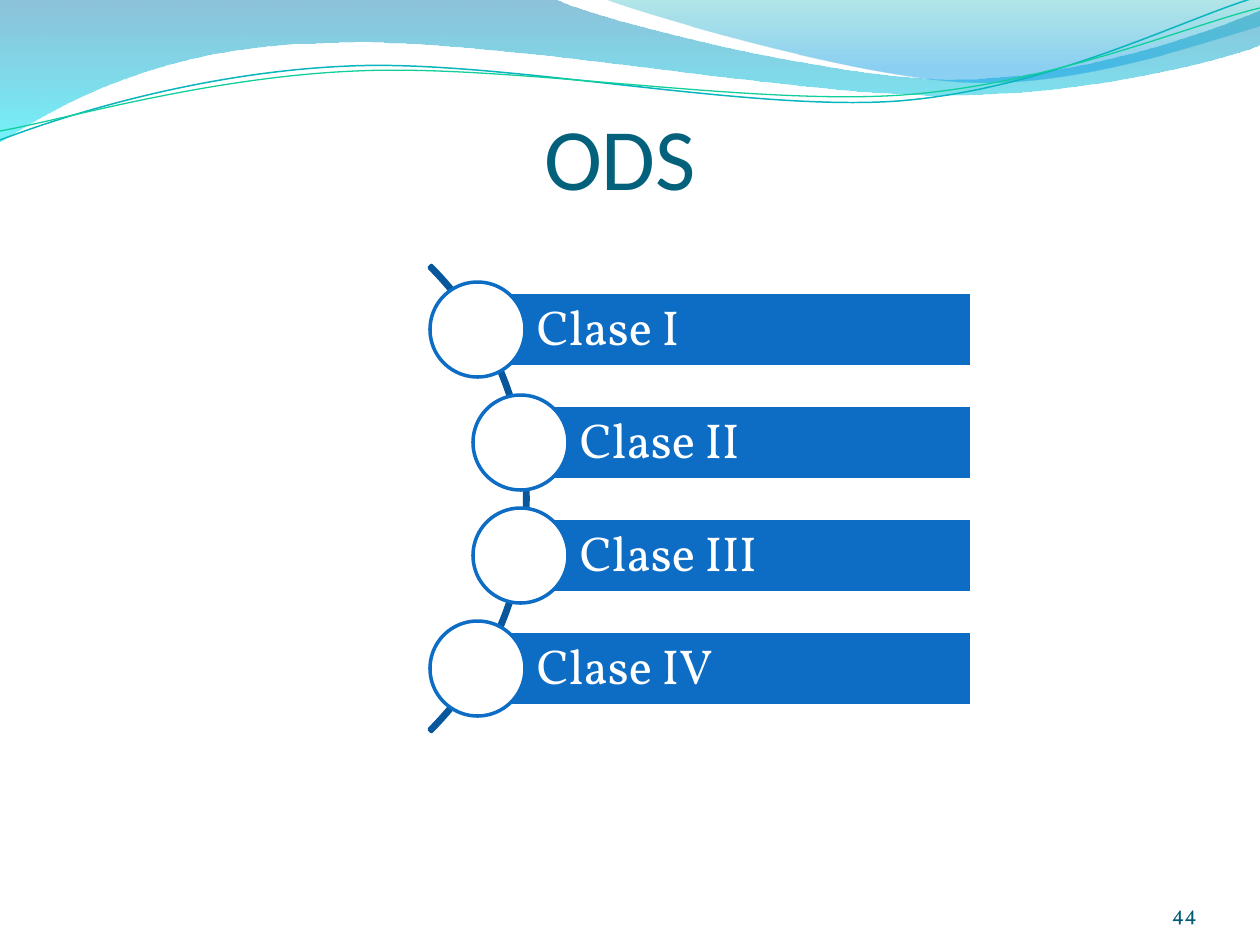
from dataclasses import dataclass

from lxml import etree
from pptx import Presentation
from pptx.dml.color import RGBColor
from pptx.enum.shapes import MSO_SHAPE
from pptx.enum.text import MSO_ANCHOR, MSO_AUTO_SIZE, PP_ALIGN
from pptx.oxml.ns import qn
from pptx.util import Pt

ARC, CIRCLE, RECT = MSO_SHAPE.BLOCK_ARC, MSO_SHAPE.OVAL, MSO_SHAPE.RECTANGLE
TOP, MIDDLE, BOTTOM = MSO_ANCHOR.TOP, MSO_ANCHOR.MIDDLE, MSO_ANCHOR.BOTTOM
LEFT, CENTER, RIGHT = PP_ALIGN.LEFT, PP_ALIGN.CENTER, PP_ALIGN.RIGHT
NO_AUTOFIT = MSO_AUTO_SIZE.NONE

EMU_PER_PX = 914400 / 126
TITLE_ONLY_LAYOUT = 5


@dataclass(frozen=True)
class Theme:
    white: str = "FFFFFF"
    bar: str = "0D6DC5"
    arc: str = "08579C"
    title: str = "04617B"
    page_number: str = "035C75"
    heading_font: str = "Calibri"
    body_font: str = "Vollkorn"
    title_size: int = 50
    label_size: int = 28
    page_number_size: int = 12
    outline: int = 2


@dataclass(frozen=True)
class GradientStop:
    percent: int
    color: str
    opacity: int


@dataclass(frozen=True)
class Wave:
    segments: tuple
    stops: tuple = ()
    line_color: str = ""
    line_width: float = 0


@dataclass(frozen=True)
class ClassRow:
    label: str
    circle_left: int


THEME = Theme()

WAVES = (
    Wave(
        (
            (0, 0), (554, -1),
            (600, 21, 837, 79, 955, 79), (1075, 79, 1207, 33, 1260, 11),
            (1261, 45),
            (1238, 55, 1096, 96, 940, 95), (784, 95, 481, 35, 324, 43),
            (163, 45, 58, 105, -1, 142),
        ),
        stops=(GradientStop(0, "0079AD", 45), GradientStop(100, "00E9F7", 55)),
    ),
    Wave(
        (
            (604, -1),
            (641, 14, 859, 78, 969, 82), (1079, 87, 1211, 40, 1260, 26),
            (1260, 0),
        ),
        stops=(
            GradientStop(0, "00ABB4", 30),
            GradientStop(80, "0099E4", 45),
            GradientStop(100, "0099E4", 45),
        ),
    ),
    Wave(
        (
            (0, 140), (60, 117, 199, 72, 349, 66),
            (498, 59, 747, 112, 898, 101), (1050, 89, 1182, 19, 1257, -3),
        ),
        line_color="09B6BE", line_width=0.85,
    ),
    Wave(
        (
            (0, 131), (59, 121, 207, 77, 357, 71),
            (508, 64, 752, 106, 903, 95), (1053, 84, 1186, 26, 1260, 8),
        ),
        line_color="10CF9B", line_width=0.75,
    ),
)

ROWS = (
    ClassRow("Clase I", 430),
    ClassRow("Clase II", 473),
    ClassRow("Clase III", 473),
    ClassRow("Clase IV", 430),
)
FIRST_CIRCLE_TOP, ROW_PITCH = 282, 113
BAR_HEIGHT, BAR_RIGHT = 75, 972
CIRCLE_SIZE = 95


def px(value: int) -> int:
    return round(value * EMU_PER_PX)


def rgb(color: str) -> RGBColor:
    return RGBColor.from_string(color)


def bend_segments(shape, segments: tuple) -> None:
    straight_lines = list(shape._element.spPr.iter(qn("a:lnTo")))
    for straight, segment in zip(straight_lines, segments):
        if len(segment) == 2:
            continue
        curve = etree.Element(qn("a:cubicBezTo"))
        for x, y in zip(segment[::2], segment[1::2]):
            etree.SubElement(curve, qn("a:pt"),
                             x=str(px(x) - shape.left), y=str(px(y) - shape.top))
        straight.getparent().replace(straight, curve)


def fill_gradient(shape, stops: tuple) -> None:
    shape.fill.gradient()
    shape.fill.gradient_angle = 270
    stop_list = shape._element.spPr.find(qn("a:gradFill")).find(qn("a:gsLst"))
    for default_stop in list(stop_list):
        stop_list.remove(default_stop)
    for stop in stops:
        gs = etree.SubElement(stop_list, qn("a:gs"), pos=str(stop.percent * 1000))
        color = etree.SubElement(gs, qn("a:srgbClr"), val=stop.color)
        etree.SubElement(color, qn("a:alpha"), val=str(stop.opacity * 1000))


def set_line(shape, color: str, width: float) -> None:
    shape.line.color.rgb = rgb(color)
    shape.line.width = Pt(width)


def draw_wave(slide, wave: Wave) -> None:
    start, *rest = [(px(segment[-2]), px(segment[-1])) for segment in wave.segments]
    builder = slide.shapes.build_freeform(*start)
    builder.add_line_segments(rest, close=bool(wave.stops))
    shape = builder.convert_to_shape()
    bend_segments(shape, wave.segments[1:])
    shape.shadow.inherit = False
    if wave.stops:
        fill_gradient(shape, wave.stops)
        shape.line.fill.background()
    else:
        shape.fill.background()
        set_line(shape, wave.line_color, wave.line_width)


def add_outlined(slide, kind, left: int, top: int, width: int, height: int,
                 line: str, fill: str = ""):
    shape = slide.shapes.add_shape(kind, px(left), px(top), px(width), px(height))
    shape.shadow.inherit = False
    if fill:
        shape.fill.solid()
        shape.fill.fore_color.rgb = rgb(fill)
    else:
        shape.fill.background()
    set_line(shape, line, THEME.outline)
    return shape


def write_text(shape, text: str, font: str, size: int, color: str, align, anchor,
               insets: tuple):
    frame = shape.text_frame
    frame.word_wrap = True
    frame.auto_size = NO_AUTOFIT
    frame.vertical_anchor = anchor
    (frame.margin_left, frame.margin_top,
     frame.margin_right, frame.margin_bottom) = map(px, insets)
    frame.text = text
    paragraph = frame.paragraphs[0]
    paragraph.alignment = align
    paragraph.font.name = font
    paragraph.font.size = Pt(size)
    paragraph.font.color.rgb = rgb(color)
    return paragraph


def draw_row(slide, row: ClassRow, circle_top: int) -> None:
    bar_left = row.circle_left + (CIRCLE_SIZE + 1) // 2
    bar_top = circle_top + (CIRCLE_SIZE - BAR_HEIGHT) // 2
    bar = add_outlined(slide, RECT, bar_left, bar_top, BAR_RIGHT - bar_left,
                       BAR_HEIGHT, THEME.white, THEME.bar)
    label = write_text(bar, row.label, THEME.body_font, THEME.label_size, THEME.white,
                       LEFT, MIDDLE, (59, 10, 10, 10))
    label.line_spacing = 0.9
    add_outlined(slide, CIRCLE, row.circle_left, circle_top,
                 CIRCLE_SIZE, CIRCLE_SIZE, THEME.bar, THEME.white)


def main() -> None:
    deck = Presentation()
    deck.slide_width, deck.slide_height = px(1260), px(945)
    slide = deck.slides.add_slide(deck.slide_layouts[TITLE_ONLY_LAYOUT])

    for wave in WAVES:
        draw_wave(slide, wave)

    page_number = slide.shapes.add_textbox(px(1092), px(876), px(105), px(50))
    write_text(page_number, "44", THEME.body_font, THEME.page_number_size,
               THEME.page_number, RIGHT, BOTTOM, (0, 0, 0, 0))

    title = slide.shapes.title
    title.left, title.top, title.width, title.height = map(px, (63, 97, 1134, 127))
    write_text(title, "ODS ", THEME.heading_font, THEME.title_size, THEME.title,
               CENTER, TOP, (13, 6, 13, 6))

    arc = add_outlined(slide, ARC, -131, 169, 659, 659, THEME.arc)
    for index, value in enumerate((189, 27, 0.005)):
        arc.adjustments[index] = value

    for index, row in enumerate(ROWS):
        draw_row(slide, row, FIRST_CIRCLE_TOP + index * ROW_PITCH)

    deck.save("out.pptx")


if __name__ == "__main__":
    main()
